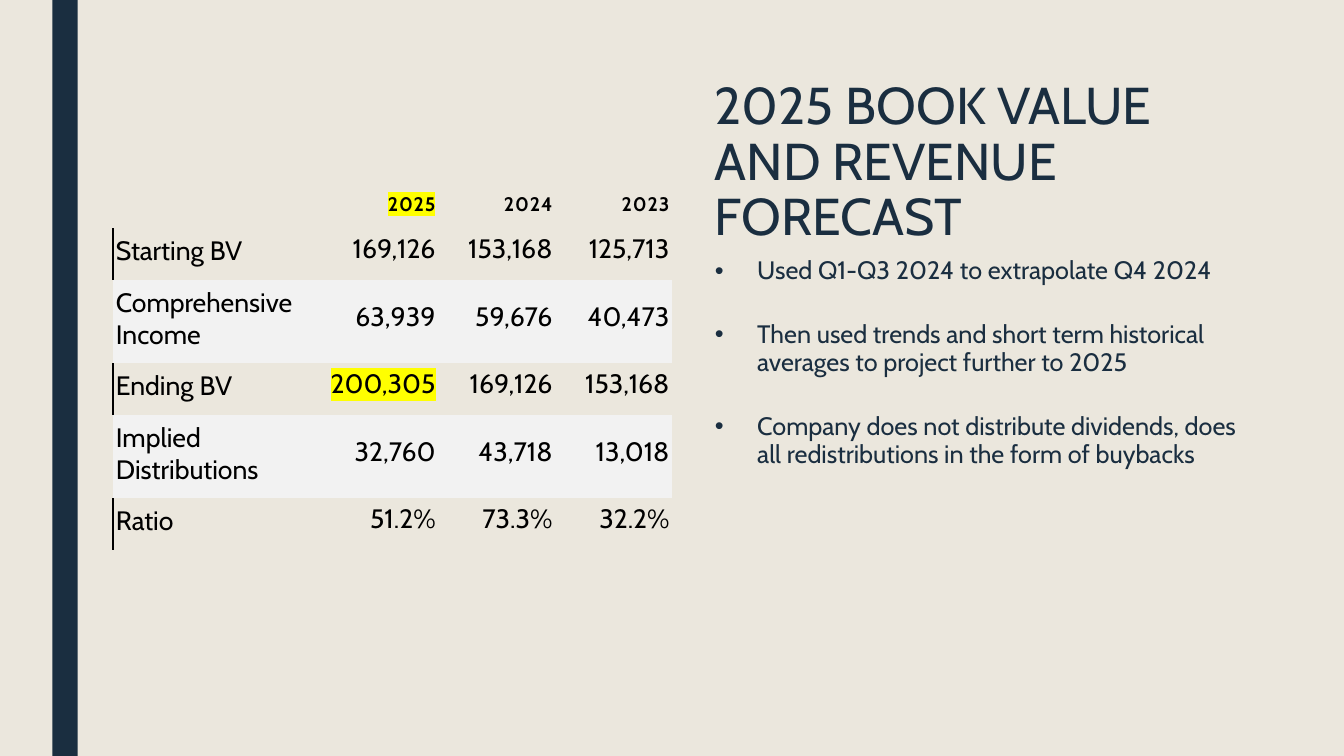
from lxml import etree
from pptx import Presentation
from pptx.dml.color import RGBColor
from pptx.enum.shapes import MSO_SHAPE
from pptx.enum.text import MSO_ANCHOR, MSO_AUTO_SIZE, PP_ALIGN
from pptx.oxml.ns import qn
from pptx.util import Inches, Pt

RECT = MSO_SHAPE.RECTANGLE
TOP, MIDDLE, BOTTOM = MSO_ANCHOR.TOP, MSO_ANCHOR.MIDDLE, MSO_ANCHOR.BOTTOM
LEFT, RIGHT = PP_ALIGN.LEFT, PP_ALIGN.RIGHT
NO_AUTOFIT = MSO_AUTO_SIZE.NONE

FONT = "Cabin"
COLORS = {"sand": "EBE7DD", "navy": "1A2E40", "black": "000000",
          "band": "F2F2F2", "yellow": "FFFF00"}
NO_GRID_STYLE = "{2D5ABB26-0587-4C30-8999-92F81FD0307C}"

RIGHT_COLUMN, COLUMN_WIDTH = 6.99, 5.61
TABLE_LEFT, TABLE_TOP = 1.12, 1.72
LABEL_WIDTH, VALUE_WIDTH = 2.07, 1.16
HEADER_HEIGHT, LINE_HEIGHT, TALL_HEIGHT = 0.52, 0.51, 0.83

TITLE = "2025 BOOK VALUE AND REVENUE FORECAST"
BULLETS = [
    "Used Q1-Q3 2024 to extrapolate Q4 2024",
    "Then used trends and short term historical averages to project further to 2025",
    "Company does not distribute dividends, does all redistributions in the form of buybacks",
]
ROWS = [
    ["", "2025", "2024", "2023"],
    ["Starting BV", "169,126", "153,168", "125,713"],
    ["Comprehensive Income", "63,939", "59,676", "40,473"],
    ["Ending BV", "200,305", "169,126", "153,168"],
    ["Implied Distributions", "32,760", "43,718", "13,018"],
    ["Ratio", "51.2%", "73.3%", "32.2%"],
]
HIGHLIGHTED = {(0, 1), (3, 1)}


def rgb(name):
    return RGBColor.from_string(COLORS[name])


def add_color(parent, name):
    etree.SubElement(parent, qn("a:srgbClr"), val=COLORS[name])


def add_run(p, text, size, color):
    r = p.add_run()
    r.text = text
    r.font.size = Pt(size)
    r.font.name = FONT
    r.font.color.rgb = rgb(color)
    return r


def highlight(r):
    rPr = r.font._element
    mark = etree.Element(qn("a:highlight"))
    add_color(mark, "yellow")
    rPr.find(qn("a:latin")).addprevious(mark)


def place(sp, top, height):
    """Move a placeholder into the right column and return its text frame."""
    sp.left, sp.top = Inches(RIGHT_COLUMN), Inches(top)
    sp.width, sp.height = Inches(COLUMN_WIDTH), Inches(height)
    tf = sp.text_frame
    tf.word_wrap = True
    tf.auto_size = NO_AUTOFIT
    tf.vertical_anchor = TOP
    return tf


def fill_title(sp):
    p = place(sp, 0.75, 1.62).paragraphs[0]
    p.alignment = LEFT
    p.line_spacing = 0.89
    add_run(p, TITLE, 37, "navy")


def fill_bullets(sp):
    tf = place(sp, 2.5, 3.92)
    for i, text in enumerate(BULLETS):
        p = tf.add_paragraph() if i else tf.paragraphs[0]
        p.line_spacing = 0.94
        p.space_before = Pt(0)
        p.space_after = Pt(25)
        pPr = p._p.get_or_add_pPr()
        pPr.set("marL", str(Inches(0.42)))
        pPr.set("indent", str(-Inches(0.42)))
        etree.SubElement(pPr, qn("a:buChar"), char="•")
        add_run(p, text, 18, "navy")


def add_side_bar(s, prs):
    bar = s.shapes.add_shape(RECT, Inches(0.52), 0, Inches(0.25), prs.slide_height)
    bar.shadow.inherit = False
    bar.fill.solid()
    bar.fill.fore_color.rgb = rgb("navy")
    bar.line.fill.background()


def add_left_border(cell):
    line = etree.Element(qn("a:lnL"), w=str(Pt(1)))
    add_color(etree.SubElement(line, qn("a:solidFill")), "black")
    cell._tc.get_or_add_tcPr().insert(0, line)


def format_cell(cell, row, col, text):
    header, banded = row == 0, row in (2, 4)
    cell.margin_left = cell.margin_right = Inches(0.03)
    cell.margin_top = Inches(0.12 if header else 0.03)
    cell.margin_bottom = Inches(0.12)
    cell.vertical_anchor = BOTTOM if header or col == 0 else MIDDLE
    if banded:
        cell.fill.solid()
        cell.fill.fore_color.rgb = rgb("band")
    else:
        cell.fill.background()
    if col == 0 and not header and not banded:
        add_left_border(cell)
    if not text:
        return
    p = cell.text_frame.paragraphs[0]
    p.alignment = RIGHT if col else LEFT
    r = add_run(p, text, 14 if header else 19, "black")
    r.font.bold = header
    if header:
        r.font._element.set("spc", "60")
    if (row, col) in HIGHLIGHTED:
        highlight(r)


def add_forecast_table(s):
    widths = [LABEL_WIDTH] + [VALUE_WIDTH] * 3
    heights = [HEADER_HEIGHT, LINE_HEIGHT] + [TALL_HEIGHT, LINE_HEIGHT] * 2
    frame = s.shapes.add_table(len(heights), len(widths), Inches(TABLE_LEFT),
                               Inches(TABLE_TOP), Inches(sum(widths)),
                               Inches(sum(heights)))
    table = frame.table
    table.first_row = table.horz_banding = False
    table._tbl.tblPr.find(qn("a:tableStyleId")).text = NO_GRID_STYLE
    for column, width in zip(table.columns, widths):
        column.width = Inches(width)
    for i, (height, values) in enumerate(zip(heights, ROWS)):
        table.rows[i].height = Inches(height)
        for j, text in enumerate(values):
            format_cell(table.cell(i, j), i, j, text)


def main():
    prs = Presentation()
    prs.slide_width, prs.slide_height = Inches(13.33), Inches(7.5)
    s = prs.slides.add_slide(prs.slide_layouts[1])
    s.background.fill.solid()
    s.background.fill.fore_color.rgb = rgb("sand")
    fill_title(s.shapes.title)
    add_side_bar(s, prs)
    fill_bullets(s.placeholders[1])
    add_forecast_table(s)
    prs.save("out.pptx")


if __name__ == "__main__":
    main()
